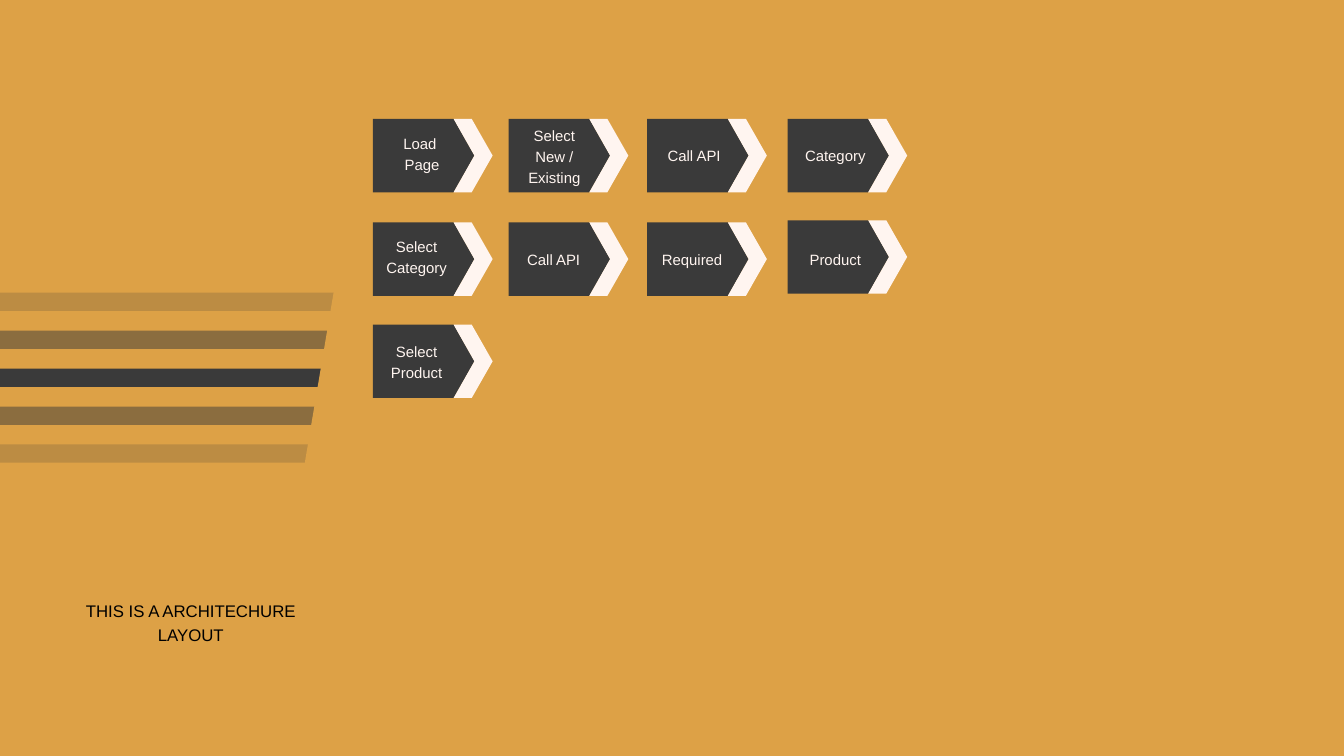
from dataclasses import dataclass

from lxml.etree import SubElement
from pptx import Presentation
from pptx.dml.color import RGBColor
from pptx.enum.shapes import MSO_SHAPE as Preset
from pptx.enum.text import MSO_AUTO_SIZE as AutoSize, PP_ALIGN as Align
from pptx.oxml.ns import qn
from pptx.util import Pt


@dataclass(frozen=True)
class Theme:
    background: RGBColor = RGBColor(0xDD, 0xA1, 0x46)
    dark: RGBColor = RGBColor(0x3A, 0x3A, 0x3A)
    light: RGBColor = RGBColor(0xFF, 0xF5, 0xF0)
    black: RGBColor = RGBColor(0, 0, 0)
    font: str = "Arial"
    label_size: float = 16
    caption_size: float = 18
    line_ratio: float = 1.4


@dataclass(frozen=True)
class Step:
    lines: tuple
    column: int
    top: float
    label_left: float
    label_top: float
    label_width: float = 76.3
    label_rows: int = 1


THEME = Theme()
COLUMNS = (399.6, 545, 693.4, 843.8)
ROWS = (127.4, 238.3, 347.8)
STEP_HEIGHT = 78.6
SHOULDER, POINT = 86.4, 108.7
ARROW_SHOULDER, ARROW_POINT = 105.8, 128.2
STRIPE_OPACITIES = (20, 50, 100, 50, 20)
STRIPE_TOP, STRIPE_PITCH = 313.6, 40.65

STEPS = (
    Step(("Load ", "Page"), 0, ROWS[0], 428.4, 141.1, 47.5, 2),
    Step(("Select New / Existing",), 1, ROWS[0], 555.8, 132.5, label_rows=3),
    Step(("Call API",), 2, ROWS[0], 705.6, 154.1),
    Step(("Category",), 3, ROWS[0], 856.8, 154.1),
    Step(("Select Category",), 0, ROWS[1], 399.6, 251.3, 93.6, 2),
    Step(("Call API",), 1, ROWS[1], 555.1, 265),
    Step(("Required",), 2, ROWS[1], 703.4, 265),
    Step(("Product",), 3, 236, 856.8, 265),
    Step(("Select Product",), 0, ROWS[2], 408.2, 363.6, label_rows=2),
)


def paint(shape, color, opacity=100):
    shape.shadow.inherit = False
    shape.fill.solid()
    shape.fill.fore_color.rgb = color
    shape.line.fill.background()
    if opacity < 100:
        color_element = shape.fill._xPr.find(f".//{qn('a:srgbClr')}")
        SubElement(color_element, qn("a:alpha"), val=str(opacity * 1000))


def add_rectangle(slide, left, top, width, height, color, opacity=100):
    shape = slide.shapes.add_shape(
        Preset.RECTANGLE, Pt(left), Pt(top), Pt(width), Pt(height))
    paint(shape, color, opacity)
    return shape


def add_polygon(slide, left, top, points, color):
    vertices = [(Pt(left + x), Pt(top + y)) for x, y in points]
    builder = slide.shapes.build_freeform(*vertices[0])
    builder.add_line_segments(vertices[1:], close=True)
    paint(builder.convert_to_shape(), color)


def add_text(slide, lines, left, top, width, height, size, color):
    box = slide.shapes.add_textbox(Pt(left), Pt(top), Pt(width), Pt(height))
    frame = box.text_frame
    frame.word_wrap = True
    frame.auto_size = AutoSize.SHAPE_TO_FIT_TEXT
    frame.margin_left = frame.margin_right = 0
    frame.margin_top = frame.margin_bottom = 0
    frame.text = "\n".join(lines)
    for paragraph in frame.paragraphs:
        paragraph.alignment = Align.CENTER
        paragraph.line_spacing = Pt(size * THEME.line_ratio)
        paragraph.font.name = THEME.font
        paragraph.font.size = Pt(size)
        paragraph.font.color.rgb = color


def add_stripes(slide):
    for index, opacity in enumerate(STRIPE_OPACITIES):
        top = STRIPE_TOP + index * STRIPE_PITCH
        add_rectangle(slide, -485.6, top, 894.2, 19.6, THEME.dark, opacity)
    slanted_edge = add_rectangle(
        slide, 342.7, 285.1, 105.8, 239.8, THEME.background)
    slanted_edge.rotation = 9.6


def add_step(slide, step):
    left, middle, bottom = COLUMNS[step.column], STEP_HEIGHT / 2, STEP_HEIGHT
    body = [(0, 0), (SHOULDER, 0), (POINT, middle),
            (SHOULDER, bottom), (0, bottom)]
    arrow = [(SHOULDER, 0), (ARROW_SHOULDER, 0), (ARROW_POINT, middle),
             (ARROW_SHOULDER, bottom), (SHOULDER, bottom), (POINT, middle)]
    add_polygon(slide, left, step.top, body, THEME.dark)
    add_polygon(slide, left, step.top, arrow, THEME.light)
    height = step.label_rows * THEME.label_size * THEME.line_ratio
    add_text(slide, step.lines, step.label_left, step.label_top,
             step.label_width, height, THEME.label_size, THEME.light)


def main():
    presentation = Presentation()
    presentation.slide_width, presentation.slide_height = Pt(1440), Pt(810)
    slide = presentation.slides.add_slide(presentation.slide_layouts[6])
    slide.background.fill.solid()
    slide.background.fill.fore_color.rgb = THEME.background
    add_stripes(slide)
    for step in STEPS:
        add_step(slide, step)
    add_text(slide, ("THIS IS A ARCHITECHURE LAYOUT",), 61.9, 640.1, 285.1,
             24.5, THEME.caption_size, THEME.black)
    presentation.save("out.pptx")


if __name__ == "__main__":
    main()
